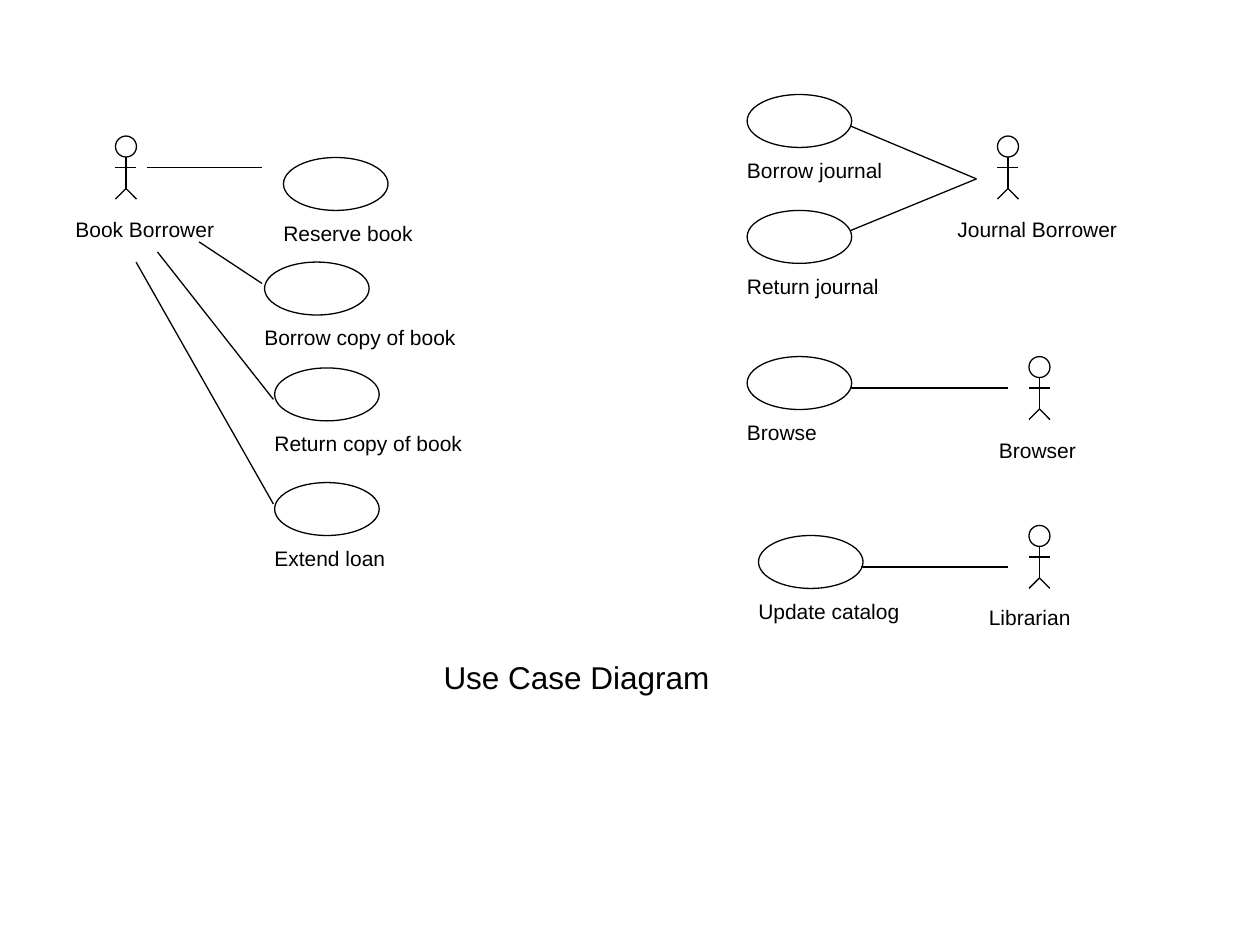
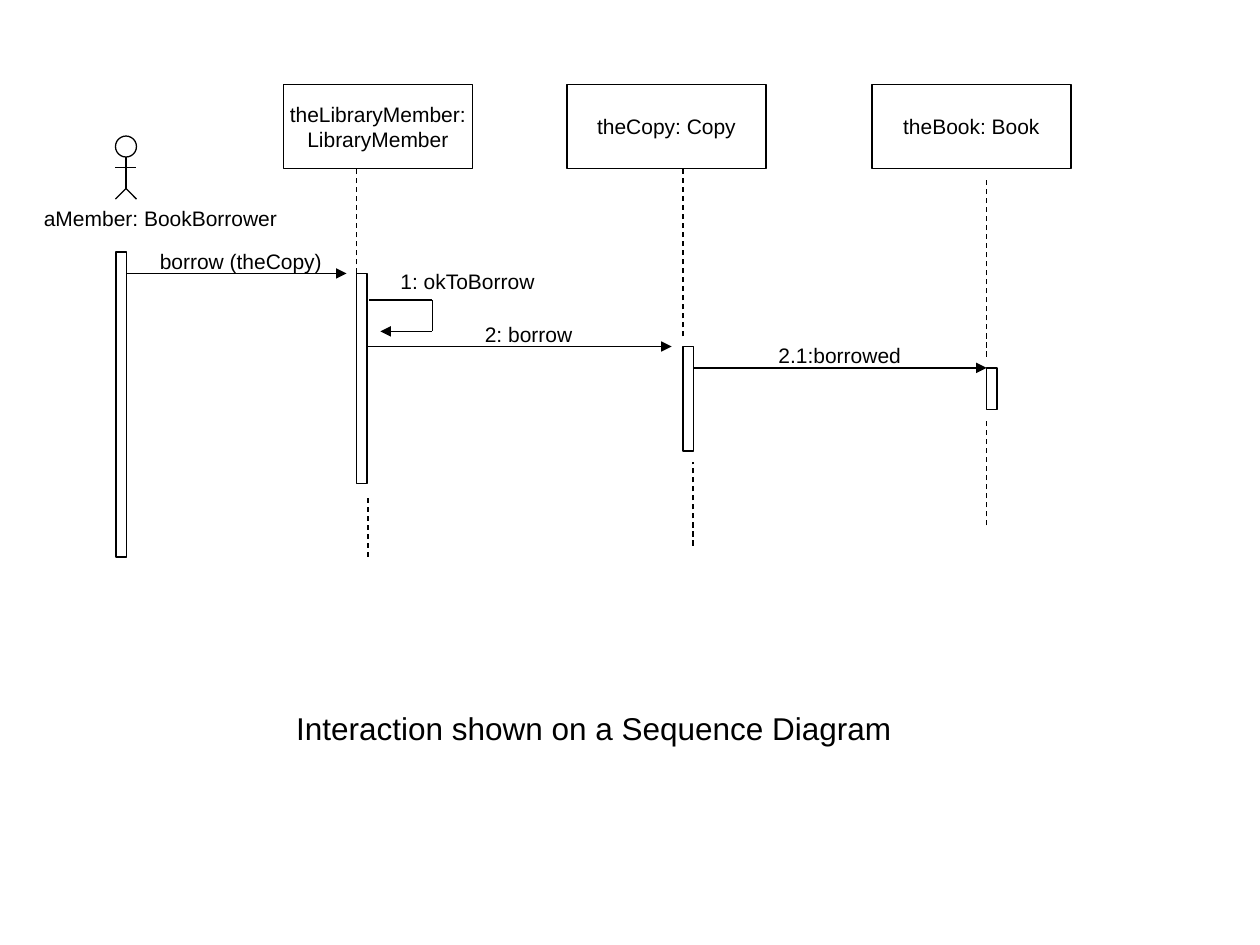
"""Build a use case diagram and a sequence diagram for a library system."""
from dataclasses import dataclass

from lxml import etree
from pptx import Presentation
from pptx import util as u
from pptx.dml.color import RGBColor
from pptx.enum import dml, shapes, text
from pptx.oxml.ns import qn


@dataclass(frozen=True)
class Theme:
    """Colours, type sizes and repeated measures of both diagrams."""
    ink: RGBColor = RGBColor(0, 0, 0)
    font: str = "Arial"
    label_size: int = 12
    title_size: int = 18
    line_width: float = 0.75
    label_height: float = 0.3
    title_height: float = 0.4
    text_slack: float = 0.08
    unit: float = 1 / 12


THEME = Theme()

USE_CASES = [
    ("Reserve book", 2.25, 1.25, 1.23),
    ("Borrow copy of book", 2.1, 2.08, 1.72),
    ("Return copy of book", 2.18, 2.92, 1.69),
    ("Extend loan", 2.18, 3.83, 1.08),
    ("Borrow journal", 5.93, 0.75, 1.27),
    ("Return journal", 5.93, 1.67, 1.24),
    ("Browse", 5.93, 2.83, 0.75),
    ("Update catalog", 6.02, 4.25, 1.32),
]
ACTORS = [
    ("Book Borrower", 1, 1.08, (0.5, 1.67, 1.3)),
    ("Journal Borrower", 8, 1.08, (7.5, 1.67, 1.47)),
    ("Browser", 8.25, 2.83, (7.83, 3.42, 0.81)),
    ("Librarian", 8.25, 4.17, (7.75, 4.75, 0.85)),
]
ASSOCIATIONS = [
    ((1.17, 1.33), (2.08, 1.33)),
    ((1.58, 1.92), (2.08, 2.25)),
    ((1.25, 2), (2.17, 3.17)),
    ((1.08, 2.08), (2.17, 4)),
    ((7.75, 1.42), (6.75, 1)),
    ((7.75, 1.42), (6.75, 1.83)),
    ((6.75, 3.08), (8, 3.08)),
    ((6.83, 4.5), (8, 4.5)),
]
PARTICIPANTS = [
    (["theLibraryMember:", "LibraryMember"], 2.25, 1.5),
    (["theCopy: Copy"], 4.5, 1.58),
    (["theBook: Book"], 6.92, 1.58),
]
ACTIVATIONS = [(0.92, 2, 2.42), (2.83, 2.17, 1.67), (5.42, 2.75, 0.83), (7.83, 2.92, 0.33)]
LIFELINES = [
    (2.83, 1.33, 2.17), (2.92, 3.92, 4.42),
    (5.42, 1.33, 2.67), (5.5, 3.67, 4.33),
    (7.83, 1.42, 2.83), (7.83, 3.33, 4.17),
]
MESSAGES = [
    ("borrow (theCopy)", (1.17, 1.92, 1.49), [(1, 2.17), (2.75, 2.17)]),
    ("1: okToBorrow", (3.08, 2.08, 1.28),
     [(2.93, 2.38), (3.43, 2.38), (3.43, 2.63), (3.02, 2.63)]),
    ("2: borrow", (3.75, 2.5, 0.89), [(2.92, 2.75), (5.33, 2.75)]),
    ("2.1:borrowed", (6.08, 2.67, 1.17), [(5.5, 2.92), (7.83, 2.92)]),
]


def place(box, left, top, width, height):
    """Move and size a box, in inches."""
    box.left, box.top = u.Inches(left), u.Inches(top)
    box.width, box.height = u.Inches(width), u.Inches(height)


def write(box, lines, size, align=text.PP_ALIGN.LEFT, anchor=text.MSO_ANCHOR.TOP, wrap=True):
    """Write lines into a box of fixed size, one paragraph each."""
    frame = box.text_frame
    frame.auto_size = text.MSO_AUTO_SIZE.NONE
    frame.word_wrap = wrap
    frame.vertical_anchor = anchor
    for index, line in enumerate(lines):
        para = frame.add_paragraph() if index else frame.paragraphs[0]
        para.alignment = align
        span = para.add_run()
        span.text = line
        span.font.name = THEME.font
        span.font.size = u.Pt(size)
        span.font.color.rgb = THEME.ink


def add_title(page, title, left, top, width):
    """Place the slide title below its diagram."""
    box = page.shapes.title
    place(box, left, top, width + THEME.text_slack, THEME.title_height)
    write(box, [title], THEME.title_size)


def add_label(parent, label, left, top, width):
    """Add a one-line label with a little room to spare on its right."""
    size = (width + THEME.text_slack, THEME.label_height)
    box = parent.shapes.add_textbox(*map(u.Inches, (left, top, *size)))
    write(box, [label], THEME.label_size)


def add_outline(parent, kind, left, top, width, height):
    """Add an unfilled preset shape with a thin outline."""
    box = parent.shapes.add_shape(kind, *map(u.Inches, (left, top, width, height)))
    box.shadow.inherit = False
    box.fill.background()
    box.line.color.rgb = THEME.ink
    box.line.width = u.Pt(THEME.line_width)
    return box


def add_line(parent, start, end, dashed=False, arrow=False):
    """Add a straight line, optionally dashed or with an arrowhead."""
    line = parent.shapes.add_connector(
        shapes.MSO_CONNECTOR.STRAIGHT, *map(u.Inches, (*start, *end)))
    line.line.color.rgb = THEME.ink
    line.line.width = u.Pt(THEME.line_width)
    if dashed:
        line.line.dash_style = dml.MSO_LINE.DASH
    properties = line._element.spPr
    if arrow:
        etree.SubElement(properties.find(qn("a:ln")), qn("a:tailEnd"), type="triangle")
    etree.SubElement(properties, qn("a:effectLst"))


def add_actor(page, label, centre, top, label_place):
    """Add a stick figure and its name."""
    figure = page.shapes.add_group_shape()
    unit = THEME.unit
    left, right = centre - unit, centre + unit
    neck, arms, hips, feet = (top + count * unit for count in (2, 3, 5, 6))
    add_outline(figure, shapes.MSO_SHAPE.OVAL, left, top, 2 * unit, 2 * unit)
    add_line(figure, (centre, neck), (centre, hips))
    add_line(figure, (centre, hips), (left, feet))
    add_line(figure, (centre, hips), (right, feet))
    add_line(figure, (left, arms), (right, arms))
    add_label(page, label, *label_place)


def add_use_case(page, label, left, top, label_width):
    """Add a use case ellipse with its label underneath."""
    group = page.shapes.add_group_shape()
    add_outline(group, shapes.MSO_SHAPE.OVAL, left, top, 0.83, 0.42)
    add_label(group, label, left - 0.1, top + 0.45, label_width)


def add_participant(page, lines, left, width):
    """Add the head box of a sequence participant."""
    box = add_outline(page, shapes.MSO_SHAPE.RECTANGLE, left, 0.67, width, 0.67)
    write(box, lines, THEME.label_size, text.PP_ALIGN.CENTER, text.MSO_ANCHOR.MIDDLE, wrap=False)


def add_message(page, label, label_place, points):
    """Add a message path ending in an arrowhead, with its label."""
    last = len(points) - 2
    for index, (start, end) in enumerate(zip(points, points[1:])):
        add_line(page, start, end, arrow=index == last)
    add_label(page, label, *label_place)


def build_use_cases(page):
    """Draw the use case diagram."""
    for actor in ACTORS:
        add_actor(page, *actor)
    for use_case in USE_CASES:
        add_use_case(page, *use_case)
    for start, end in ASSOCIATIONS:
        add_line(page, start, end)
    add_title(page, "Use Case Diagram", 3.42, 5.17, 2.31)


def build_sequence(page):
    """Draw the sequence diagram."""
    add_actor(page, "aMember: BookBorrower", 1, 1.08, (0.25, 1.58, 2.05))
    for participant in PARTICIPANTS:
        add_participant(page, *participant)
    for left, top, height in ACTIVATIONS:
        add_outline(page, shapes.MSO_SHAPE.RECTANGLE, left, top, THEME.unit, height)
    for across, top, bottom in LIFELINES:
        add_line(page, (across, bottom), (across, top), dashed=True)
    for message in MESSAGES:
        add_message(page, *message)
    add_title(page, "Interaction shown on a Sequence Diagram", 2.25, 5.58, 4.92)


def main():
    """Build and save the deck."""
    deck = Presentation()
    deck.slide_width, deck.slide_height = u.Inches(10), u.Inches(7.5)
    title_only = deck.slide_layouts.get_by_name("Title Only")
    for build in (build_use_cases, build_sequence):
        build(deck.slides.add_slide(title_only))
    deck.save("out.pptx")


if __name__ == "__main__":
    main()
